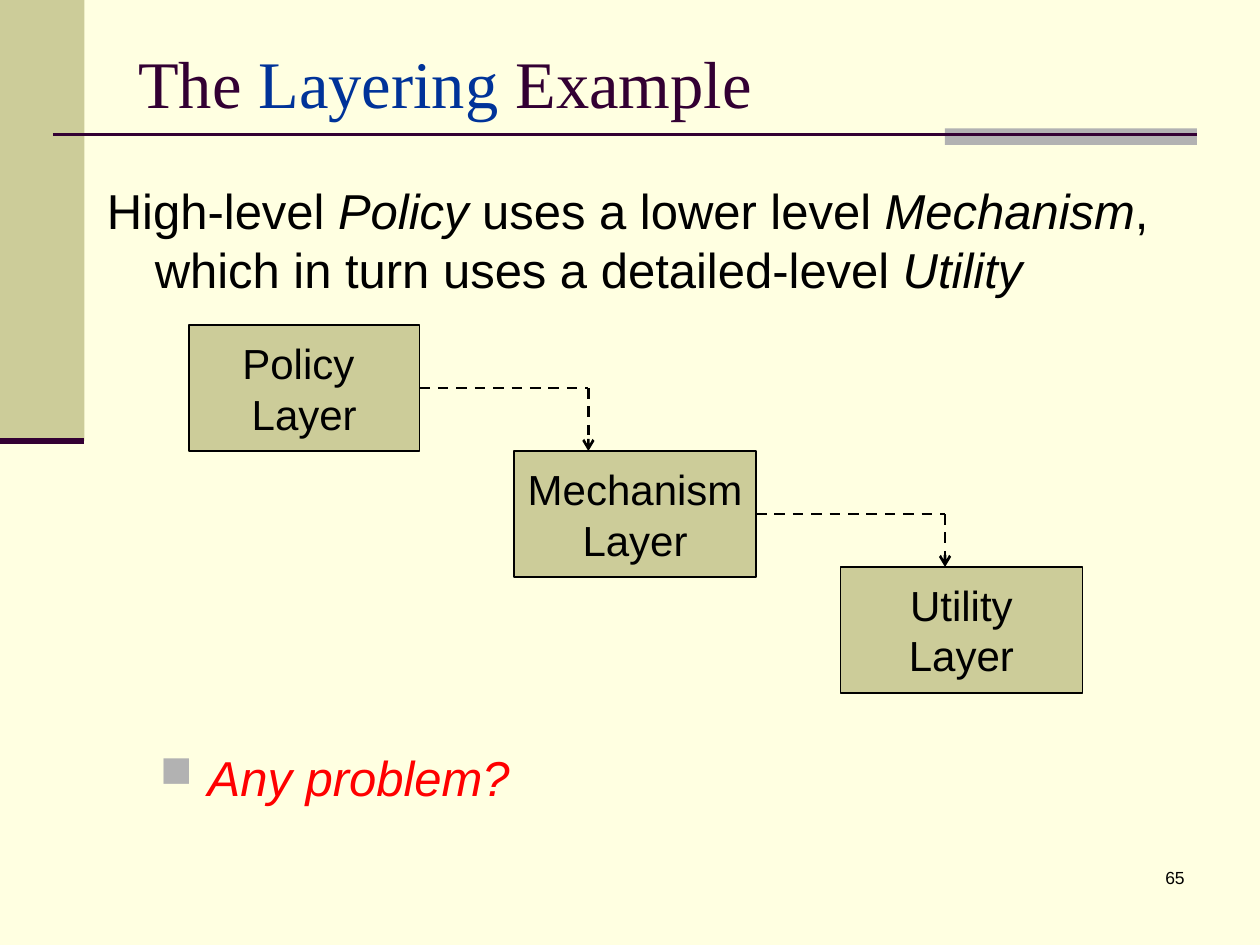
from pptx import Presentation
from pptx.dml.color import RGBColor
from pptx.enum.dml import MSO_LINE
from pptx.enum.shapes import MSO_CONNECTOR, MSO_SHAPE
from pptx.enum.text import MSO_ANCHOR, PP_ALIGN
from pptx.oxml.ns import qn
from pptx.util import Inches, Pt
from lxml import etree

COLORS = {
    "background": "FFFFE1", "khaki": "CCCC99", "gray": "B2B2B2", "plum": "330033",
    "blue": "003399", "black": "000000", "red": "FF0000",
}

# Content: a paragraph is a list of (text, run format) pairs
TITLE = [("The ", {}), ("Layering", {"color": "blue"}), (" Example", {})]
STATEMENT = [
    ("High-level ", {}), ("Policy", {"italic": True}),
    (" uses a lower level ", {}), ("Mechanism", {"italic": True}),
    (", which in turn uses a detailed-level ", {}), ("Utility", {"italic": True}),
]
QUESTION = [("Any problem?", {"italic": True})]
PAGE_NUMBER = "65"

# Layer boxes: first line, left, top, width
LAYERS = [("Policy ", 1.5, 2.58, 1.83), ("Mechanism", 4.08, 3.58, 1.92), ("Utility", 6.67, 4.5, 1.92)]
LAYER_HEIGHT = 1
ARROW_COLUMNS = [4.67, 7.5]  # where each arrow turns down to the next layer

presentation = Presentation()
presentation.slide_width, presentation.slide_height = Inches(10), Inches(7.5)
slide = presentation.slides.add_slide(presentation.slide_layouts[6])
slide.background.fill.solid()
slide.background.fill.fore_color.rgb = RGBColor.from_string(COLORS["background"])


def add_rectangle(left, top, width, height, fill, outline=None):
    shape = slide.shapes.add_shape(
        MSO_SHAPE.RECTANGLE, Inches(left), Inches(top), Inches(width), Inches(height))
    shape.shadow.inherit = False
    shape.fill.solid()
    shape.fill.fore_color.rgb = RGBColor.from_string(COLORS[fill])
    if outline:
        shape.line.color.rgb = RGBColor.from_string(COLORS[outline])
        shape.line.width = Pt(0.75)
    else:
        shape.line.fill.background()
    return shape


def add_line(start, end, color, width, dashed=False, arrow=False):
    line = slide.shapes.add_connector(MSO_CONNECTOR.STRAIGHT, *map(Inches, start + end))
    line.line.color.rgb = RGBColor.from_string(COLORS[color])
    line.line.width = Pt(width)
    if dashed:
        line.line.dash_style = MSO_LINE.DASH
    if arrow:
        etree.SubElement(line.line._get_or_add_ln(), qn("a:tailEnd"), type="arrow")
    etree.SubElement(line._element.spPr, qn("a:effectLst"))
    return line


def add_text_box(left, top, width, height):
    return slide.shapes.add_textbox(Inches(left), Inches(top), Inches(width), Inches(height))


def write_text(shape, paragraphs, size, font="Arial", color="black", align=PP_ALIGN.LEFT,
               anchor=MSO_ANCHOR.TOP, wrap=True, hanging=0, bullet=None, inset_top=0.05):
    frame = shape.text_frame
    frame.word_wrap, frame.vertical_anchor = wrap, anchor
    frame.margin_top = Inches(inset_top)
    for index, runs in enumerate(paragraphs):
        paragraph = frame.add_paragraph() if index else frame.paragraphs[0]
        paragraph.alignment = align
        properties = paragraph._p.get_or_add_pPr()
        if hanging:
            properties.set("marL", str(Inches(hanging)))
            properties.set("indent", str(-Inches(hanging)))
        if bullet:
            bullet_color = etree.SubElement(properties, qn("a:buClr"))
            etree.SubElement(bullet_color, qn("a:srgbClr"), val=COLORS["gray"])
            etree.SubElement(properties, qn("a:buSzPct"), val="90000")
            etree.SubElement(properties, qn("a:buChar"), char=bullet)
        for text, run_format in runs:
            run = paragraph.add_run()
            run.text = text
            run.font.name, run.font.size = font, Pt(size)
            run.font.italic = run_format.get("italic", False)
            run.font.color.rgb = RGBColor.from_string(COLORS[run_format.get("color", color)])


# Side band and title rule
add_rectangle(0, 0, 0.67, 3.5, "khaki")
add_rectangle(7.5, 1.02, 2, 0.13, "gray")
add_line((0.42, 1.07), (9.5, 1.07), "plum", 1.5)
add_line((0, 3.5), (0.67, 3.5), "plum", 3.5)

# Page number, title and statement
write_text(add_text_box(7.42, 6.83, 2.08, 0.5), [[(PAGE_NUMBER, {})]], 10, align=PP_ALIGN.RIGHT)
write_text(add_text_box(1, 0.3, 8.5, 0.7), [TITLE], 38, font="Times New Roman",
           color="plum", anchor=MSO_ANCHOR.MIDDLE)
write_text(add_text_box(0.75, 1.33, 8.75, 1.08), [STATEMENT], 28, hanging=0.38, inset_top=0.1)

# Layer boxes
boxes = []
for name, left, top, width in LAYERS:
    box = add_rectangle(left, top, width, LAYER_HEIGHT, "khaki", outline="black")
    write_text(box, [[(name, {})], [("Layer", {})]], 24, align=PP_ALIGN.CENTER,
               anchor=MSO_ANCHOR.MIDDLE, wrap=False)
    boxes.append(box)

# Dashed arrows: out of a layer's right side, then down onto the next layer
for index, column in enumerate(ARROW_COLUMNS):
    _, left, top, width = LAYERS[index]
    next_top = LAYERS[index + 1][2]
    middle = top + LAYER_HEIGHT / 2
    across = add_line((left + width, middle), (column, middle), "black", 1.5, dashed=True)
    across.begin_connect(boxes[index], 3)
    add_line((column, middle), (column, next_top), "black", 1.5, dashed=True, arrow=True)

# Closing question
write_text(add_text_box(1.17, 5.83, 5.92, 0.75), [QUESTION], 28, color="red",
           hanging=0.38, bullet="■", inset_top=0.1)

presentation.save("out.pptx")
